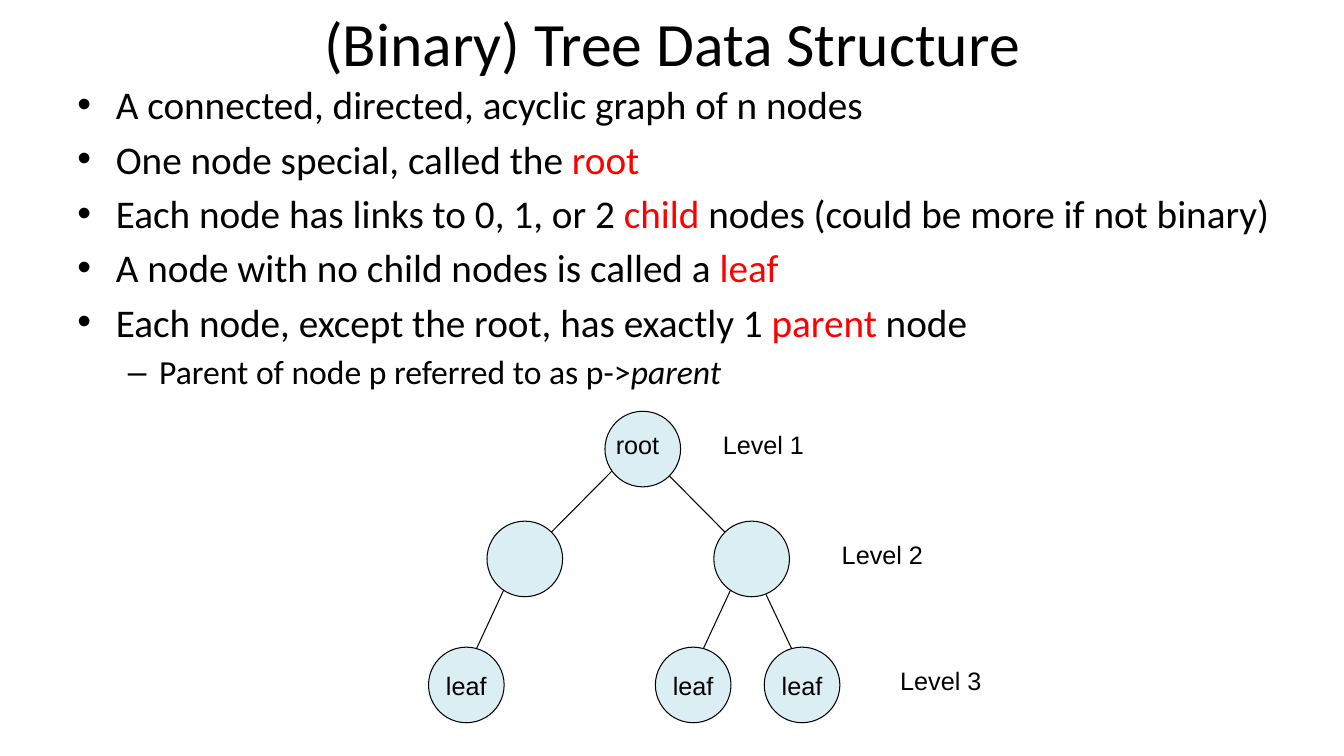
from dataclasses import dataclass

from lxml.etree import SubElement
from pptx import Presentation
from pptx.dml.color import RGBColor
from pptx.enum.shapes import MSO_CONNECTOR as Connector, MSO_SHAPE as Shape
from pptx.enum.text import MSO_ANCHOR as Anchor, PP_ALIGN as Align
from pptx.oxml.ns import qn
from pptx.util import Inches, Pt

BLACK, RED, NODE_FILL = "000000", "FF0000", "DBEEF4"
DIAMETER = 0.75
JOINT = 0.33  # where edges meet, measured from a node's top left corner


@dataclass
class Span:
    text: str
    color: str = BLACK
    italic: bool = False


@dataclass
class Bullet:
    spans: list[Span]
    size: int = 28
    symbol: str = "•"
    margin: float = 0.38
    hanging: float = 0.38
    space_before: float = 5.2
    level: int = 0


@dataclass
class Node:
    left: float
    top: float
    text: str = ""


@dataclass
class Edge:
    parent: Node
    child: Node
    end_shift: float = 0


@dataclass
class Label:
    text: str
    left: float
    top: float
    width: float = 1.02


ROOT = Node(6, 4.08)
LEFT, RIGHT = Node(4.83, 5.17), Node(7.08, 5.17)
LEAVES = [Node(left, 6.42, "leaf") for left in (4.25, 7.58, 6.5)]
EDGES = [
    Edge(ROOT, LEFT, 0.09),
    Edge(ROOT, RIGHT),
    Edge(LEFT, LEAVES[0]),
    Edge(RIGHT, LEAVES[1], 0.09),
    Edge(RIGHT, LEAVES[2]),
]
LABELS = [
    Label("root", 6.01, 4.21, 0.64),
    Label("Level 1", 7.07, 4.21),
    Label("Level 2", 8.25, 5.3),
    Label("Level 3", 8.83, 6.55),
]
BULLETS = [
    Bullet([Span("A connected, directed, acyclic graph of n nodes")], space_before=0),
    Bullet([Span("One node special, called the "), Span("root", RED)]),
    Bullet([Span("Each node has links to 0, 1, or 2 "), Span("child ", RED),
            Span("nodes (could be more if not binary)")]),
    Bullet([Span("A node with no child nodes is called a "), Span("leaf", RED)]),
    Bullet([Span("Each node, except the root, has exactly 1 "), Span("parent", RED),
            Span(" node")]),
    Bullet([Span("Parent of node p referred to as p->"), Span("parent", italic=True)],
           24, "–", 0.81, 0.31, 4.5, 1),
]


def rgb(color: str) -> RGBColor:
    return RGBColor.from_string(color)


def add_run(paragraph, span: Span, size: int, font_name: str) -> None:
    run = paragraph.add_run()
    run.text = span.text
    font = run.font
    font.name, font.size = font_name, Pt(size)
    font.color.rgb = rgb(span.color)
    if span.italic:
        font.italic = True


def add_text_frame(slide, left: float, top: float, width: float, height: float,
                   wrap: bool = True):
    box = slide.shapes.add_textbox(*map(Inches, (left, top, width, height)))
    box.text_frame.word_wrap = wrap
    return box.text_frame


def add_title(slide, text: str) -> None:
    frame = add_text_frame(slide, 2.17, 0, 9, 0.83)
    frame.vertical_anchor = Anchor.MIDDLE
    paragraph = frame.paragraphs[0]
    paragraph.alignment = Align.CENTER
    add_run(paragraph, Span(text), 44, "Calibri")


def add_bullets(slide, bullets: list[Bullet]) -> None:
    frame = add_text_frame(slide, 0.67, 0.75, 12.08, 3.22)
    for index, bullet in enumerate(bullets):
        paragraph = frame.add_paragraph() if index else frame.paragraphs[0]
        paragraph.level = bullet.level
        if bullet.space_before:
            paragraph.space_before = Pt(bullet.space_before)
        properties = paragraph._p.get_or_add_pPr()
        properties.set("marL", str(Inches(bullet.margin)))
        properties.set("indent", str(-Inches(bullet.hanging)))
        SubElement(properties, qn("a:buFont"), typeface="Arial")
        SubElement(properties, qn("a:buChar"), char=bullet.symbol)
        for span in bullet.spans:
            add_run(paragraph, span, bullet.size, "Calibri")


def set_outline(shape) -> None:
    shape.line.color.rgb = rgb(BLACK)
    shape.line.width = Pt(0.75)


def add_edge(slide, edge: Edge) -> None:
    parent, child = edge.parent, edge.child
    ends = (parent.left + JOINT, parent.top + JOINT,
            child.left + JOINT + edge.end_shift, child.top + JOINT)
    connector = slide.shapes.add_connector(Connector.STRAIGHT, *map(Inches, ends))
    set_outline(connector)
    SubElement(connector._element.spPr, qn("a:effectLst"))


def add_node(slide, node: Node) -> None:
    shape = slide.shapes.add_shape(
        Shape.OVAL, *map(Inches, (node.left, node.top, DIAMETER, DIAMETER)))
    shape.shadow.inherit = False
    shape.fill.solid()
    shape.fill.fore_color.rgb = rgb(NODE_FILL)
    set_outline(shape)
    if node.text:
        frame = shape.text_frame
        frame.word_wrap = False
        frame.vertical_anchor = Anchor.MIDDLE
        paragraph = frame.paragraphs[0]
        paragraph.alignment = Align.CENTER
        add_run(paragraph, Span(node.text), 18, "Arial")


def add_label(slide, label: Label) -> None:
    frame = add_text_frame(slide, label.left, label.top, label.width, 0.4, wrap=False)
    add_run(frame.paragraphs[0], Span(label.text), 18, "Arial")


def main() -> None:
    presentation = Presentation()
    presentation.slide_width, presentation.slide_height = Inches(13.33), Inches(7.5)
    slide = presentation.slides.add_slide(presentation.slide_layouts[6])
    add_title(slide, "(Binary) Tree Data Structure")
    add_bullets(slide, BULLETS)
    for edge in EDGES:
        add_edge(slide, edge)
    for node in (ROOT, LEFT, RIGHT, *LEAVES):
        add_node(slide, node)
    for label in LABELS:
        add_label(slide, label)
    presentation.save("out.pptx")


if __name__ == "__main__":
    main()
